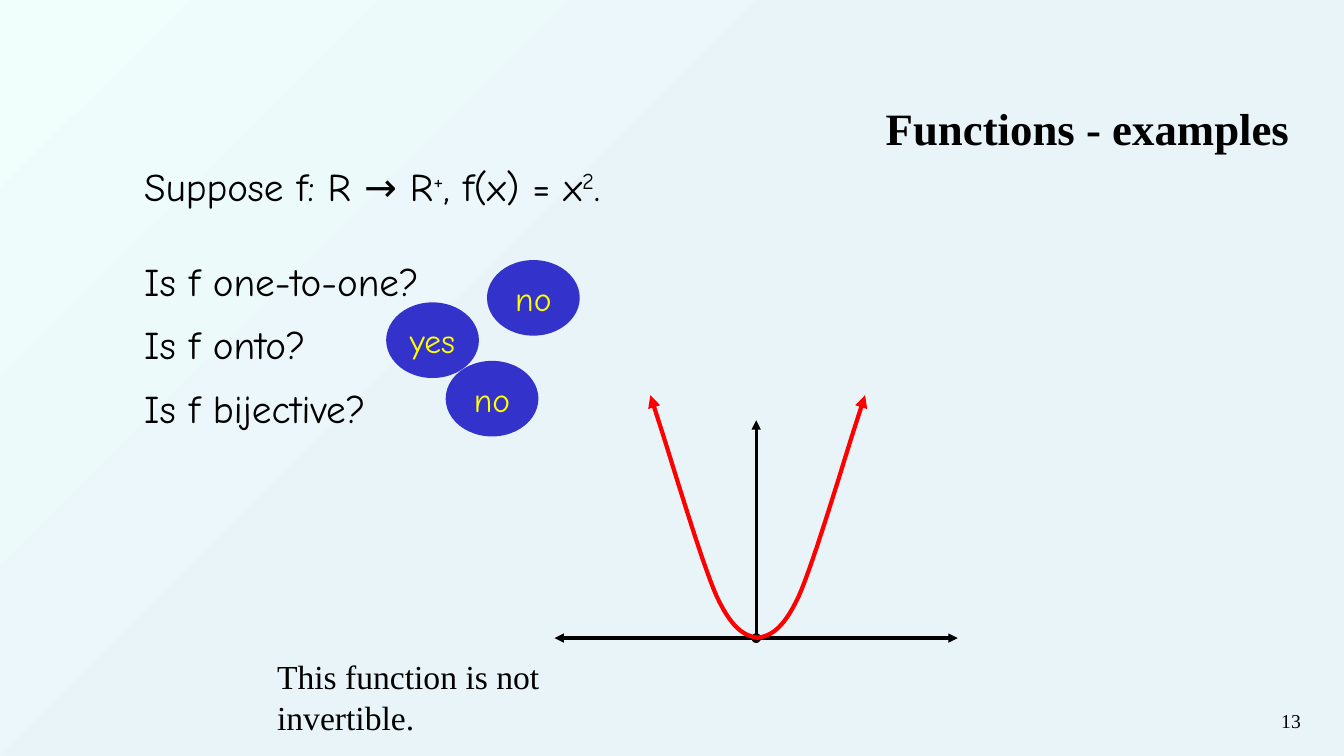
"""Build the slide on whether f(x) = x² is one-to-one, onto and bijective."""
import pptx
import pptx.util
import pptx.enum.dml
import pptx.enum.shapes
import pptx.enum.text
import pptx.dml.color
import pptx.oxml.ns
import lxml.etree

Inches, Pt = pptx.util.Inches, pptx.util.Pt
ALIGN, ANCHOR = pptx.enum.text.PP_ALIGN, pptx.enum.text.MSO_ANCHOR
qn = pptx.oxml.ns.qn
SERIF, HAND = "Times New Roman", "Comic Neue"


def rgb(value):
    return pptx.dml.color.RGBColor.from_string(value)


def add_text(p, text, size=24, font=SERIF, color="000000", bold=False, align=ALIGN.LEFT, raised=False):
    p.alignment = align
    r = p.add_run()
    r.text = text
    r.font.size, r.font.name, r.font.bold = Pt(size), font, bold
    r.font.color.rgb = rgb(color)
    if raised:
        r.font._element.set("baseline", "30000")


prs = pptx.Presentation()
prs.slide_width, prs.slide_height = Inches(13.33), Inches(7.5)
s = prs.slides.add_slide(prs.slide_layouts[1])

fill = s.background.fill
fill.gradient()
fill.gradient_angle = 315
for stop, color, position in zip(fill.gradient_stops, ("F0FFFB", "E9F4F9"), (0, 0.45)):
    stop.color.rgb = rgb(color)
    stop.position = position

title, body = s.placeholders
for sp, box in ((title, (1.56, 0.33, 11.33, 1.25)), (body, (1.33, 1.56, 9.71, 4.92))):
    sp.left, sp.top, sp.width, sp.height = map(Inches, box)
    sp.text_frame.auto_size = pptx.enum.text.MSO_AUTO_SIZE.NONE
title.text_frame.vertical_anchor = ANCHOR.BOTTOM
add_text(title.text_frame.paragraphs[0], "Functions - examples", size=32, bold=True, align=ALIGN.RIGHT)

tf = body.text_frame
tf.vertical_anchor = ANCHOR.TOP
lines = [
    (("Suppose f: R → R", "+", ", f(x) = x", "2", "."), 0, 0),
    (("Is f one-to-one?",), 34, 12),
    (("Is f onto?",), 0, 12),
    (("Is f bijective?",), 0, 12),
]
for i, (runs, before, after) in enumerate(lines):
    p = tf.add_paragraph() if i else tf.paragraphs[0]
    p.space_before, p.space_after = Pt(before), Pt(after)
    for j, text in enumerate(runs):
        add_text(p, text, size=28, font=HAND, raised=j % 2 == 1)
    pPr = p._p.get_or_add_pPr()
    pPr.set("marL", "0")
    pPr.set("indent", "0")
    lxml.etree.SubElement(pPr, qn("a:buNone"))

for answer, x, y in (("no", 4.83, 2.58), ("yes", 3.83, 3), ("no", 4.42, 3.58)):
    sp = s.shapes.add_shape(pptx.enum.shapes.MSO_SHAPE.OVAL, Inches(x), Inches(y), Inches(0.92), Inches(0.75))
    sp.shadow.inherit = False
    sp.fill.solid()
    sp.fill.fore_color.rgb = rgb("3333CC")
    sp.line.fill.background()
    tf = sp.text_frame
    tf.margin_left = tf.margin_right = tf.margin_top = tf.margin_bottom = 0
    tf.vertical_anchor = ANCHOR.MIDDLE
    add_text(tf.paragraphs[0], answer, font=HAND, color="FFFF00", align=ALIGN.CENTER)

strokes = []
for x, y in ((7.5, 4.17), (9.5, 6.33), (5.5, 6.33)):
    axis = s.shapes.add_connector(
        pptx.enum.shapes.MSO_CONNECTOR.STRAIGHT, Inches(7.5), Inches(6.33), Inches(x), Inches(y))
    lxml.etree.SubElement(axis._element.spPr, qn("a:effectLst"))
    strokes.append((axis, "000000", 2.25, "oval"))

beziers = [
    ((7.5, 6.33), (7.62, 6.31), (7.75, 6.28), (7.92, 5.92)),
    ((7.92, 5.92), (8.08, 5.56), (8.39, 4.5), (8.5, 4.17)),
]
steps = 16
right = [(7.5, 6.33)]
for curve in beziers:
    for k in range(1, steps + 1):
        t = k / steps
        weights = ((1 - t) ** 3, 3 * t * (1 - t) ** 2, 3 * t * t * (1 - t), t ** 3)
        right.append(tuple(sum(w * pt[axis] for w, pt in zip(weights, curve)) for axis in (0, 1)))
right.append((8.58, 3.92))
left = [(15.03 - x, y) for x, y in right]
for branch in (right, left):
    points = [(Inches(x), Inches(y)) for x, y in branch]
    builder = s.shapes.build_freeform(*points[0])
    builder.add_line_segments(points[1:], close=False)
    sp = builder.convert_to_shape()
    sp.shadow.inherit = False
    sp.fill.background()
    strokes.append((sp, "FF0000", 3, "none"))

for sp, color, width, head in strokes:
    sp.line.color.rgb = rgb(color)
    sp.line.width = Pt(width)
    ln = sp._element.spPr.find(qn("a:ln"))
    lxml.etree.SubElement(ln, qn("a:round"))
    lxml.etree.SubElement(ln, qn("a:headEnd"), type=head)
    lxml.etree.SubElement(ln, qn("a:tailEnd"), type="triangle")

notes = [
    ("This function is not invertible.", (2.65, 6.46, 4.24, 0.5), 24, ALIGN.LEFT, 0.5),
    ("13", (9.89, 6.98, 3.11, 0.52), 14, ALIGN.RIGHT, 0.1),
]
for text, box, size, align, margin in notes:
    tf = s.shapes.add_textbox(*map(Inches, box)).text_frame
    tf.word_wrap = True
    tf.margin_right = Inches(margin)
    add_text(tf.paragraphs[0], text, size=size, align=align)

prs.save("out.pptx")
